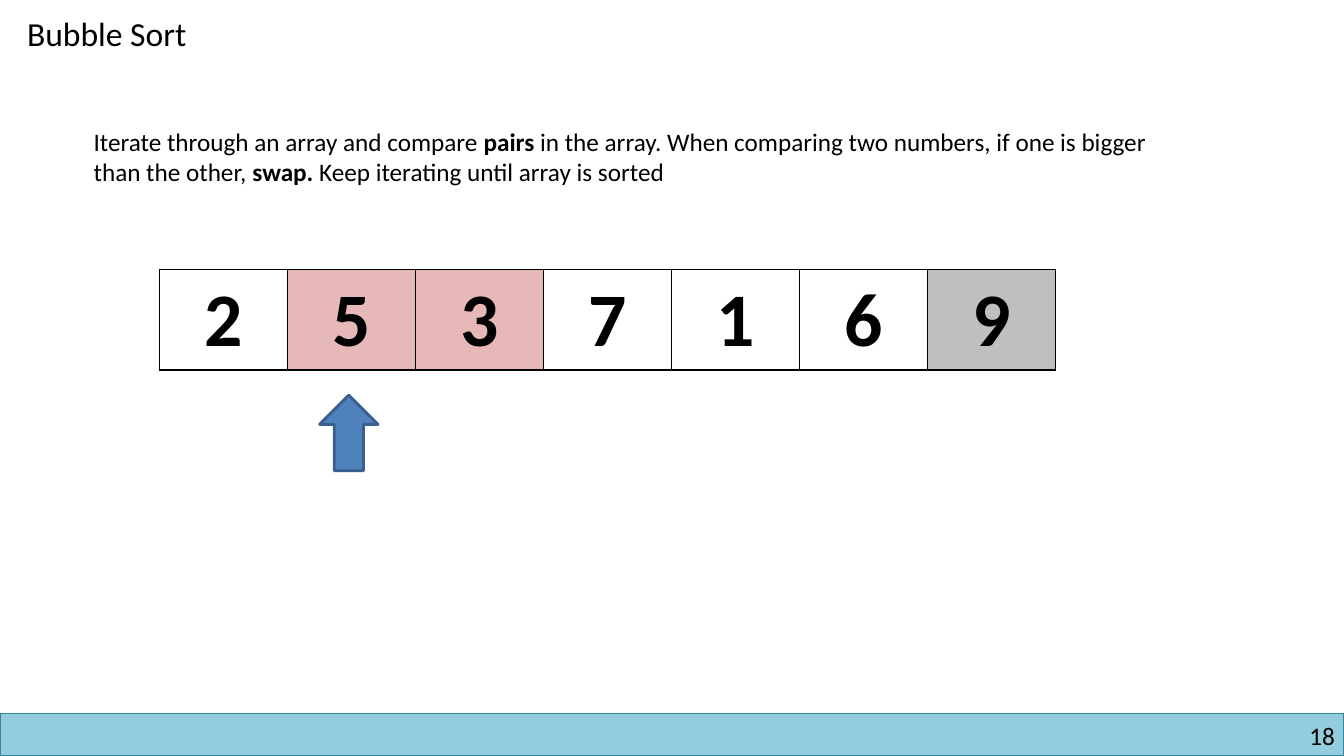
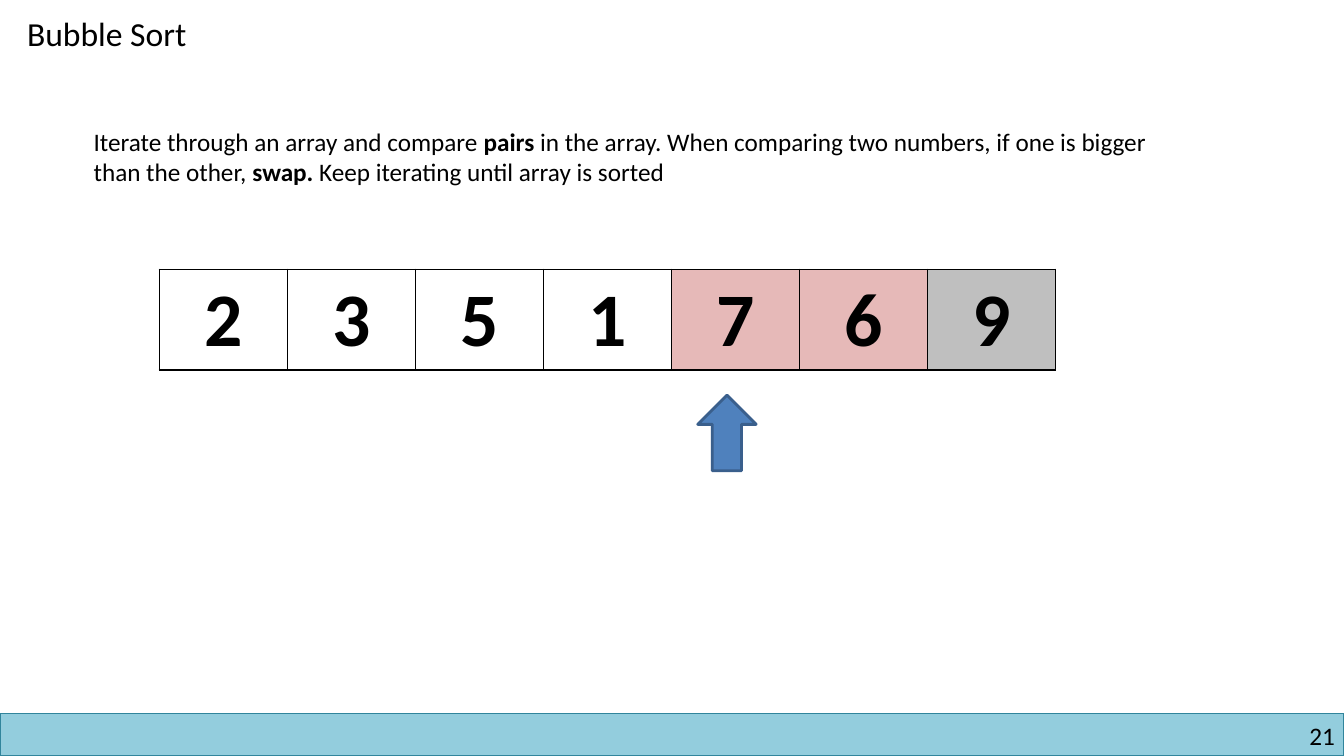
from lxml import etree
from pptx import Presentation, util as u
from pptx.dml.color import RGBColor
from pptx.enum import shapes, text
from pptx.oxml import ns

WIDTH, HEIGHT = 13.33, 7.5
FONT = "Calibri"
BLACK, WHITE = "000000", "FFFFFF"
BAND_FILL, BAND_LINE = "93CDDD", "31859C"
ARROW_FILL, ARROW_LINE = "4F81BD", "3A5F8C"
COMPARED, SORTED = "E6B9B8", "BFBFBF"

TITLE = "Bubble Sort"
# Runs alternate between regular and bold.
EXPLANATION = (
    "Iterate through an array and compare ",
    "pairs",
    " in the array. When comparing two numbers, if one is bigger than the other, ",
    "swap. ",
    "Keep iterating until array is sorted",
)
# Page number, array, index of the first number compared, count of sorted numbers
STEPS = (
    (18, (2, 5, 3, 7, 1, 6, 9), 1, 1),
    (21, (2, 3, 5, 1, 7, 6, 9), 4, 1),
)

ARRAY_LEFT, ARRAY_TOP, CELL_WIDTH, CELL_HEIGHT = 1.58, 2.67, 1.27, 1
ARROW_LEFT, ARROW_TOP, ARROW_STEP = 1.92, 3.92, 1.25
ARROW_WIDTH, ARROW_HEIGHT = 0.58, 0.75


def color(value):
    return RGBColor.from_string(value)


def box(left, top, width, height):
    return [u.Inches(length) for length in (left, top, width, height)]


def add_runs(paragraph, runs, size, bold_from=1):
    """Add runs; every second one, starting at bold_from, is bold."""
    for index, wording in enumerate(runs):
        run = paragraph.add_run()
        run.text = wording
        style = {"name": FONT, "size": u.Pt(size), "bold": index % 2 == bold_from}
        for name, value in style.items():
            setattr(run.font, name, value)
        run.font.color.rgb = color(BLACK)


def add_text(slide, place, runs, size, align=text.PP_ALIGN.LEFT, **frame_format):
    frame = slide.shapes.add_textbox(*box(*place)).text_frame
    for name, value in {"word_wrap": True, **frame_format}.items():
        setattr(frame, name, value)
    paragraph = frame.paragraphs[0]
    paragraph.alignment = align
    add_runs(paragraph, runs, size)


def add_figure(slide, preset, place, fill, line, line_width):
    shape = slide.shapes.add_shape(preset, *box(*place))
    shape.shadow.inherit = False
    shape.fill.solid()
    shape.fill.fore_color.rgb = color(fill)
    shape.line.color.rgb = color(line)
    shape.line.width = u.Pt(line_width)


def add_borders(cell):
    properties = cell._tc.get_or_add_tcPr()
    for side in ("lnL", "lnR", "lnT", "lnB"):
        line = etree.SubElement(properties, ns.qn(f"a:{side}"), w=str(u.Pt(1)))
        fill = etree.SubElement(line, ns.qn("a:solidFill"))
        etree.SubElement(fill, ns.qn("a:srgbClr"), val=BLACK)


def add_array(slide, numbers, fills):
    place = box(ARRAY_LEFT, ARRAY_TOP, CELL_WIDTH * len(numbers), CELL_HEIGHT)
    table = slide.shapes.add_table(1, len(numbers), *place).table
    table.first_row = table.horz_banding = False
    for column, (number, fill) in enumerate(zip(numbers, fills)):
        table.columns[column].width = u.Inches(CELL_WIDTH)
        cell = table.cell(0, column)
        add_borders(cell)
        cell.fill.solid()
        cell.fill.fore_color.rgb = color(fill)
        paragraph = cell.text_frame.paragraphs[0]
        paragraph.alignment = text.PP_ALIGN.CENTER
        add_runs(paragraph, [str(number)], 54, bold_from=0)


def add_frame(slide, page):
    """Add the footer band, page number and title shared by all slides."""
    band = (0, 7.08, WIDTH, HEIGHT - 7.08)
    add_figure(slide, shapes.MSO_SHAPE.RECTANGLE, band, BAND_FILL, BAND_LINE, 1)
    margins = dict.fromkeys(
        ("margin_left", "margin_top", "margin_right", "margin_bottom"), 0)
    add_text(slide, (10.17, 7.15, 3.07, 0.3), [str(page)], 18,
             text.PP_ALIGN.RIGHT, **margins)
    add_text(slide, (0.17, 0.08, 1.96, 0.5), [TITLE], 24, word_wrap=False)


def add_step(slide, page, numbers, compared, sorted_count):
    add_frame(slide, page)
    add_text(slide, (0.83, 1.2, 11.08, 0.71), EXPLANATION, 18)
    fills = [WHITE] * (len(numbers) - sorted_count) + [SORTED] * sorted_count
    fills[compared:compared + 2] = [COMPARED] * 2
    add_array(slide, numbers, fills)
    arrow = (ARROW_LEFT + ARROW_STEP * compared, ARROW_TOP, ARROW_WIDTH, ARROW_HEIGHT)
    add_figure(slide, shapes.MSO_SHAPE.UP_ARROW, arrow, ARROW_FILL, ARROW_LINE, 2)


def main():
    presentation = Presentation()
    presentation.slide_width = u.Inches(WIDTH)
    presentation.slide_height = u.Inches(HEIGHT)
    blank = presentation.slide_layouts[6]
    for step in STEPS:
        add_step(presentation.slides.add_slide(blank), *step)
    presentation.save("out.pptx")


if __name__ == "__main__":
    main()
